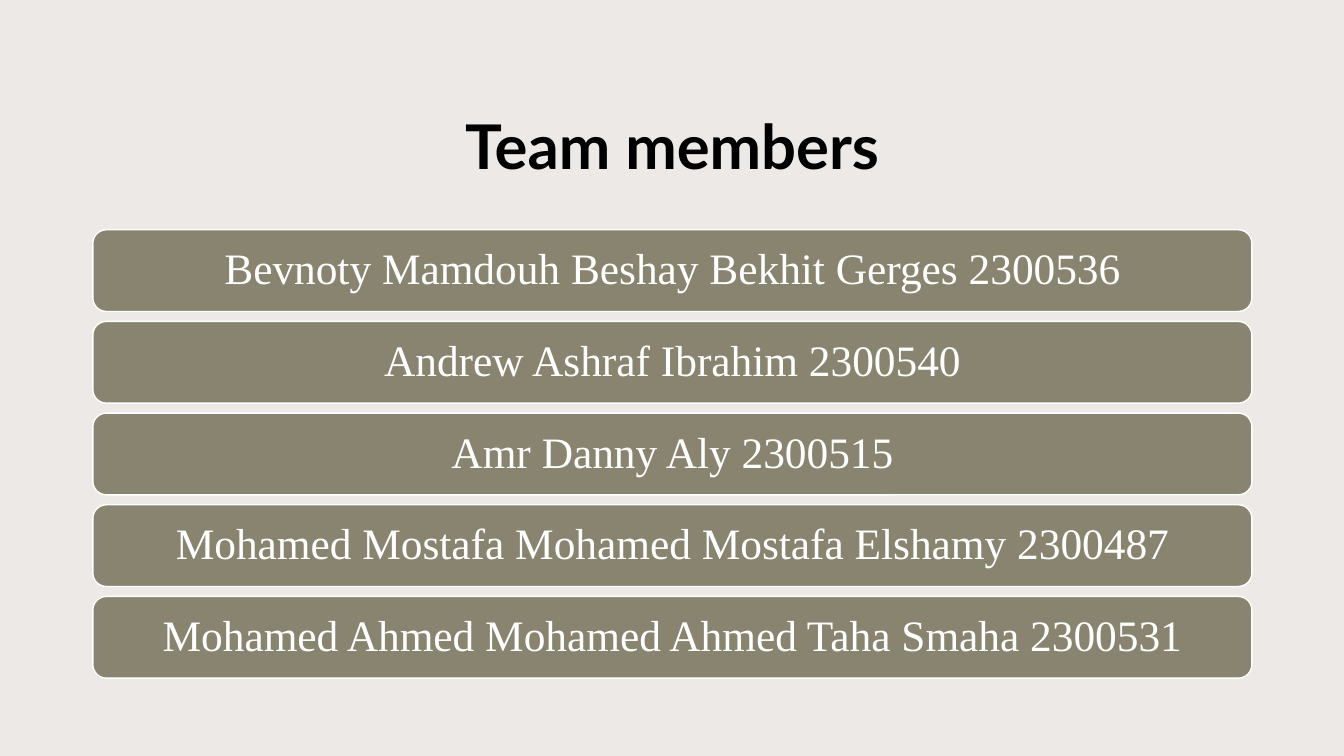
from pptx import Presentation
from pptx.dml.color import RGBColor
from pptx.enum.shapes import MSO_SHAPE
from pptx.enum.text import MSO_ANCHOR, PP_ALIGN
from pptx.util import Cm, Pt

MEMBERS = [
    "Bevnoty Mamdouh Beshay Bekhit Gerges 2300536",
    "Andrew Ashraf Ibrahim 2300540",
    "Amr Danny Aly 2300515",
    "Mohamed Mostafa Mohamed Mostafa Elshamy 2300487",
    "Mohamed Ahmed Mohamed Ahmed Taha Smaha 2300531",
]
LEFT, WIDTH = Cm(2.34), Cm(29.21)
FIRST_BAR_TOP, BAR_HEIGHT, BAR_PITCH = Cm(5.79), Cm(2.06), Cm(2.31)


def paint(color_format, color):
    color_format.rgb = RGBColor.from_string(color)


def write_centred(box, text, font_name, size, color, anchor, bold=False):
    frame = box.text_frame
    frame.word_wrap = True
    frame.vertical_anchor = anchor
    paragraph = frame.paragraphs[0]
    paragraph.text = text
    paragraph.alignment = PP_ALIGN.CENTER
    paragraph.line_spacing = 0.9
    paragraph.font.name = font_name
    paragraph.font.size = Pt(size)
    paragraph.font.bold = bold
    paint(paragraph.font.color, color)


def add_title(page, text):
    box = page.shapes.add_textbox(LEFT, Cm(1.63), WIDTH, Cm(3.1))
    write_centred(box, text, "Lato", 44, "000000", MSO_ANCHOR.BOTTOM, bold=True)


def add_member_bar(page, top, text):
    bar = page.shapes.add_shape(
        MSO_SHAPE.ROUNDED_RECTANGLE, LEFT, top, WIDTH, BAR_HEIGHT)
    bar.shadow.inherit = False
    bar.fill.solid()
    paint(bar.fill.fore_color, "898470")
    paint(bar.line.color, "FFFFFF")
    bar.line.width = Pt(1)
    write_centred(bar, text, "Times New Roman", 31, "FFFFFF", MSO_ANCHOR.MIDDLE)


def main():
    deck = Presentation()
    deck.slide_width, deck.slide_height = Cm(33.87), Cm(19.05)
    page = deck.slides.add_slide(deck.slide_layouts[6])
    page.background.fill.solid()
    paint(page.background.fill.fore_color, "EDE9E7")

    add_title(page, "Team members")
    for index, member in enumerate(MEMBERS):
        add_member_bar(page, FIRST_BAR_TOP + index * BAR_PITCH, member)
    deck.save("out.pptx")


if __name__ == "__main__":
    main()
